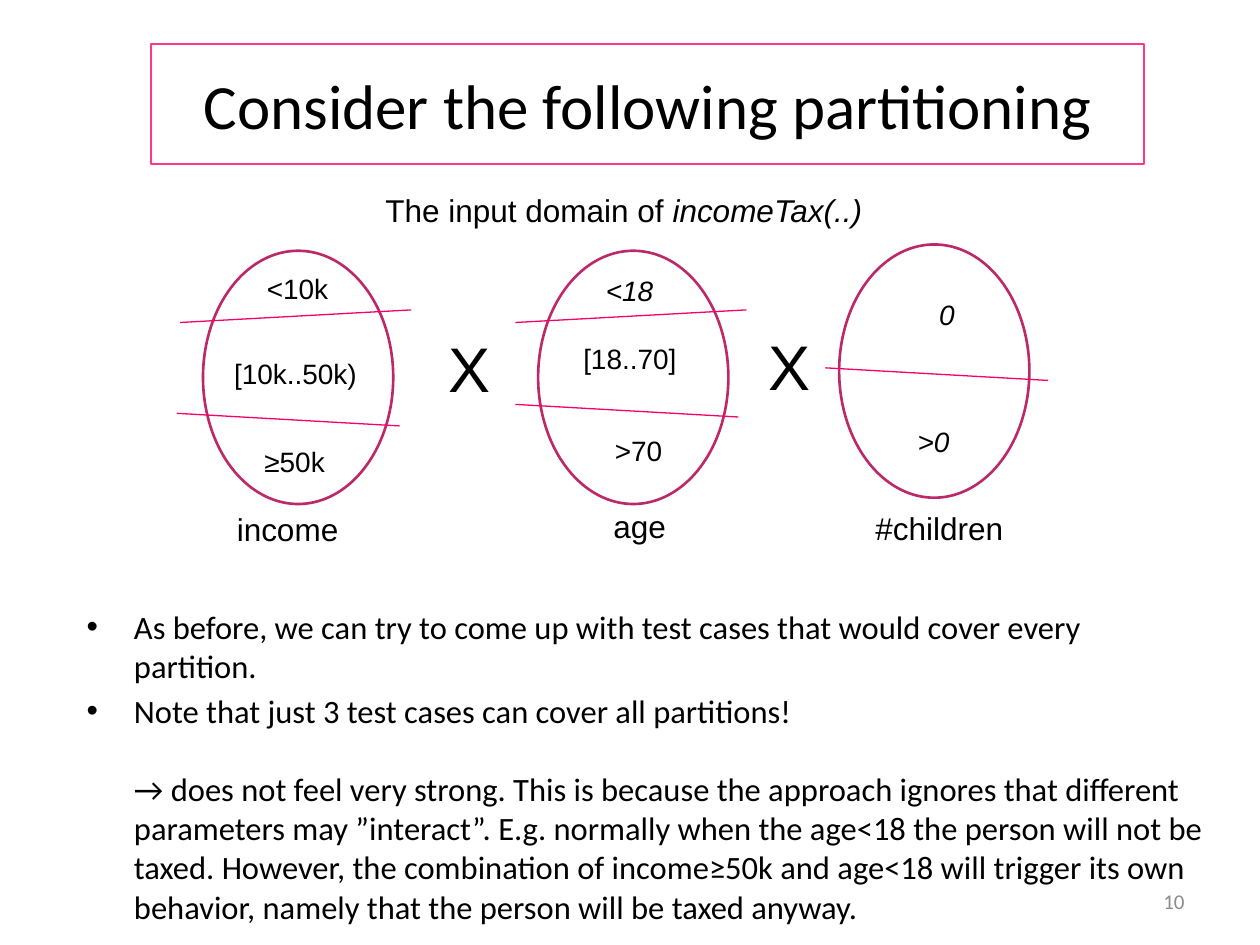
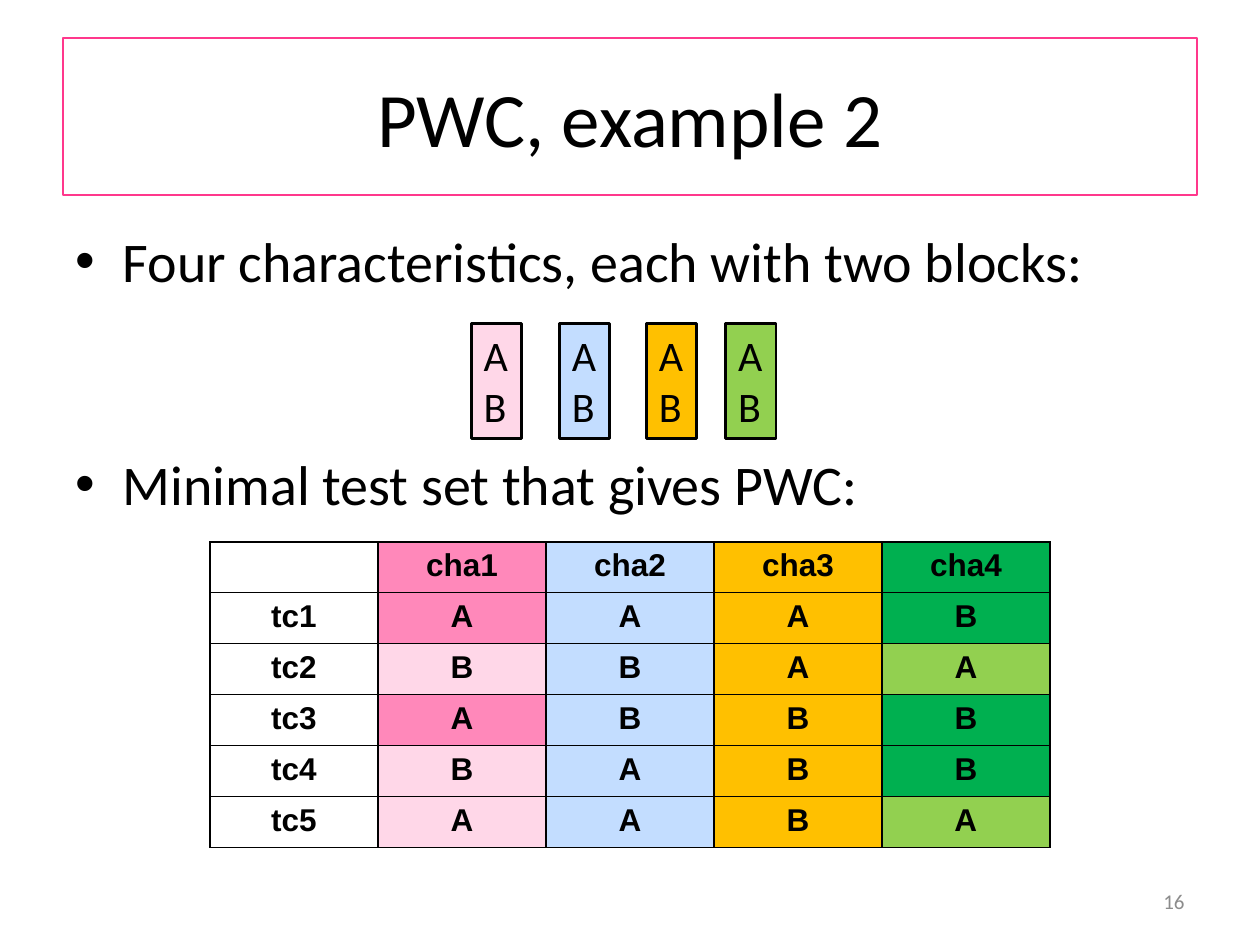
from dataclasses import dataclass

from lxml import etree
from pptx import Presentation
from pptx.dml.color import RGBColor
from pptx.enum import shapes, text
from pptx.oxml import ns
from pptx.util import Pt

LEFT, CENTER, RIGHT = text.PP_ALIGN.LEFT, text.PP_ALIGN.CENTER, text.PP_ALIGN.RIGHT
MIDDLE = text.MSO_ANCHOR.MIDDLE


@dataclass(frozen=True)
class Theme:
    heading: str = "Calibri"
    label: str = "Arial"
    black: str = "000000"
    gray: str = "8C8C8C"
    frame: str = "FF388C"
    oval: str = "BD2968"
    cut: str = "F90069"
    pink: str = "FF88BA"
    pale_pink: str = "FFD7E8"
    blue: str = "C3DDFF"
    amber: str = "FFC000"
    green: str = "00B050"
    pale_green: str = "92D050"
    number: int = 12
    small: int = 16
    normal: int = 18
    block: int = 24
    large: int = 36


def rgb(value):
    return RGBColor.from_string(value)


def add_xml(parent, tag, index=None, **attrs):
    el = etree.Element(ns.qn(tag), attrs)
    parent.insert(len(parent) if index is None else index, el)
    return el


def write(tf, *paragraphs, size, font, color="000000", bold=False, italic=False,
          align=LEFT, gaps=(), bullets=None):
    """Fill a text frame; a paragraph is a string or a list of (text, italic) runs.

    bullets holds one flag per paragraph; all of them get the hanging indent.
    """
    for i, content in enumerate(paragraphs):
        p = tf.paragraphs[0] if i == 0 else tf.add_paragraph()
        p.alignment = align
        if i and gaps:
            p.space_before = Pt(gaps[i - 1])
        if bullets:
            pPr = p._p.get_or_add_pPr()
            pPr.set("marL", str(Pt(27)))
            pPr.set("indent", str(Pt(-27 if bullets[i] else 0)))
            if bullets[i]:
                add_xml(pPr, "a:buFont", typeface="Arial")
                add_xml(pPr, "a:buChar", char="•")
        runs = [(content, italic)] if isinstance(content, str) else content
        for words, slanted in runs:
            r = p.add_run()
            r.text = words
            f = r.font
            f.name, f.size, f.bold, f.italic = font, Pt(size), bold, slanted
            f.color.rgb = rgb(color)


class Deck:
    def __init__(self, theme):
        self.theme = theme
        self.prs = Presentation()
        self.prs.slide_width, self.prs.slide_height = Pt(720), Pt(540)
        self.s = None

    def slide(self, title, number, box, size):
        """Start a slide with its framed title and its page number."""
        t = self.theme
        self.s = self.prs.slides.add_slide(self.prs.slide_layouts[5])
        sp = self.s.shapes.title
        sp.left, sp.top, sp.width, sp.height = map(Pt, box)
        sp.line.color.rgb, sp.line.width = rgb(t.frame), Pt(1)
        sp.text_frame.vertical_anchor = MIDDLE
        write(sp.text_frame, title, size=size, font=t.heading, align=CENTER)
        self.text((516, 500.5, 168, 28.75), number, size=t.number, font=t.heading,
                  color=t.gray, align=RIGHT, anchor=MIDDLE)

    def text(self, box, *paragraphs, wrap=True, anchor=text.MSO_ANCHOR.TOP, **fmt):
        tf = self.s.shapes.add_textbox(*map(Pt, box)).text_frame
        tf.word_wrap, tf.vertical_anchor = wrap, anchor
        write(tf, *paragraphs, **fmt)

    def label(self, box, words, size=None, **fmt):
        fmt = {"wrap": False, "font": self.theme.label, **fmt}
        self.text(box, words, size=size or self.theme.small, **fmt)

    def shape(self, kind, box, line, fill=None):
        sp = self.s.shapes.add_shape(kind, *map(Pt, box))
        sp.shadow.inherit = False
        if fill:
            sp.fill.solid()
            sp.fill.fore_color.rgb = rgb(fill)
        else:
            sp.fill.background()
        sp.line.color.rgb, sp.line.width = rgb(line), Pt(1.5)
        return sp

    def cut(self, x, y, dx, dy):
        ln = self.s.shapes.add_connector(shapes.MSO_CONNECTOR.STRAIGHT,
                                         Pt(x), Pt(y), Pt(x + dx), Pt(y + dy))
        ln.line.color.rgb, ln.line.width = rgb(self.theme.cut), Pt(0.75)
        add_xml(ln._element.spPr, "a:effectLst")

    def block(self, x, fill):
        t = self.theme
        sp = self.shape(shapes.MSO_SHAPE.RECTANGLE, (x, 185, 28.8, 65.5), t.black, fill)
        tf = sp.text_frame
        tf.word_wrap, tf.vertical_anchor = False, text.MSO_ANCHOR.TOP
        write(tf, "A", "B", size=t.block, font=t.heading)

    def table(self, x, y, columns, col_width=96, row_height=29.1):
        """Draw columns of (text, fill) cells."""
        t = self.theme
        rows = len(columns[0])
        tbl = self.s.shapes.add_table(rows, len(columns), Pt(x), Pt(y),
                                      Pt(col_width * len(columns)),
                                      Pt(row_height * rows)).table
        tbl.first_row = tbl.horz_banding = False
        for row in tbl.rows:
            row.height = Pt(row_height)
        for c, column in enumerate(columns):
            tbl.columns[c].width = Pt(col_width)
            for r, (words, fill) in enumerate(column):
                cell = tbl.cell(r, c)
                write(cell.text_frame, words, size=t.normal, font=t.label,
                      bold=True, align=CENTER)
                if fill:
                    cell.fill.solid()
                    cell.fill.fore_color.rgb = rgb(fill)
                else:
                    cell.fill.background()
                self.border(cell)

    def border(self, cell):
        tcPr = cell._tc.get_or_add_tcPr()
        for i, side in enumerate(("a:lnL", "a:lnR", "a:lnT", "a:lnB")):
            ln = add_xml(tcPr, side, i, w=str(Pt(1)))
            add_xml(add_xml(ln, "a:solidFill"), "a:srgbClr", val=self.theme.black)


def partitioning(deck):
    t = deck.theme
    deck.slide("Consider the following partitioning", "10", (86.4, 25.2, 567.4, 68.4), t.large)
    deck.text((42.5, 343.4, 652.3, 177.8),
              "As before, we can try to come up with test cases that would cover every partition.",
              "Note that just 3 test cases can cover all partitions!",
              "→ does not feel very strong. This is because the approach ignores that different "
              "parameters may ”interact”. E.g. normally when the age<18 the person will not be "
              "taxed. However, the combination of income≥50k and age<18 will trigger its own "
              "behavior, namely that the person will be taxed anyway.",
              size=18.6, font=t.heading, gaps=(3.5, 22.3), bullets=(True, True, False))

    rising, falling = (132, -7.2), (127.4, 7.2)
    domains = [
        ((116, 143.3), [(103, 184.3, *rising), (101, 236.2, *falling)]),
        ((307.5, 143.3), [(294.5, 184.3, *rising), (294.5, 231.1, *falling)]),
        ((479.5, 139.7), [(471.6, 210.2, *falling)]),
    ]
    for corner, cuts in domains:
        deck.shape(shapes.MSO_SHAPE.OVAL, (*corner, 108.7, 144.7), t.oval)
        for cut in cuts:
            deck.cut(*cut)

    for x, y, width, words in [(145.4, 151.9, 49.7, "<10k"), (126.7, 200.2, 85.7, "[10k..50k)"),
                               (144, 250.6, 49.7, "≥50k"), (326.2, 191.5, 68.4, "[18..70]"),
                               (344.2, 244.1, 41.8, ">70")]:
        deck.label((x, y, width, 26.6), words)
    deck.label((339.1, 152.6, 41.8, 26.6), "<18", italic=True)
    for box, words in [((524.2, 166.3, 33.8, 26.6), "0"), ((482.4, 239, 102.2, 26.6), ">0")]:
        deck.label(box, words, italic=True, align=CENTER, wrap=True)
    for x, y, width, words in [(128.2, 288, 73.4, "income"), (343.4, 286.2, 44.6, "age"),
                               (493.2, 287.3, 88.6, "#children"),
                               (213.1, 105.8, 289.4,
                                [("The input domain of ", False), ("incomeTax(..)", True)])]:
        deck.label((x, y, width, 28.8), words, t.normal)
    for x, y in [(249.1, 185), (432, 183.6)]:
        deck.label((x, y, 33.1, 51.1), "X", t.large)


def pairwise_example(deck):
    t = deck.theme
    deck.slide("PWC, example 2", "16", (36, 21.6, 648, 90), 44)
    deck.text((36, 126, 648, 356.4), "Four characteristics, each with two blocks:",
              "Minimal test set that gives PWC:", size=32, font=t.heading,
              gaps=(89,), bullets=(True, True))

    light = (t.pale_pink, t.blue, t.amber, t.pale_green)
    for x, fill in zip((269.3, 319.7, 369.4, 414.7), light):
        deck.block(x, fill)

    def characteristic(name, letters, fill_a, fill_b, head):
        fills = {"A": fill_a, "B": fill_b}
        return [(name, head)] + [(letter, fills[letter]) for letter in letters]

    tests = [(words, None) for words in ("", "tc1", "tc2", "tc3", "tc4")]
    cha1 = characteristic("cha1", "ABAB", t.pink, t.pale_pink, t.pink)
    cha2 = characteristic("cha2", "ABBA", t.blue, t.blue, t.blue)
    cha3 = characteristic("cha3", "AABB", t.amber, t.amber, t.amber)
    cha4 = characteristic("cha4", "BABB", t.pale_green, t.green, t.green)
    last_test = [[("tc5", None)]] + [[cell] for cell in zip("AABA", light)]
    for x, y, columns in [(120, 309.6, [tests, cha1, cha2]), (504, 309.6, [cha4]),
                          (408, 309.6, [cha3]), (120, 455.1, last_test)]:
        deck.table(x, y, columns)


def main():
    deck = Deck(Theme())
    partitioning(deck)
    pairwise_example(deck)
    deck.prs.save("out.pptx")


if __name__ == "__main__":
    main()
